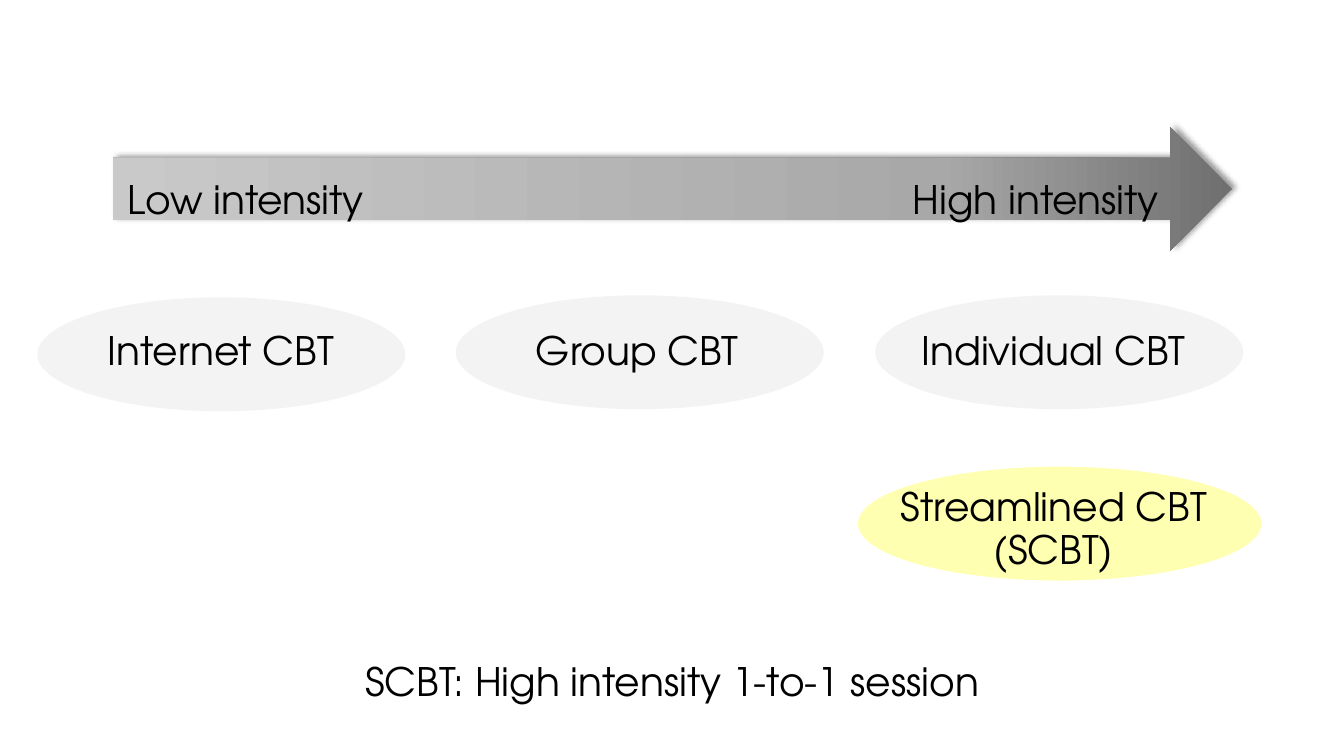
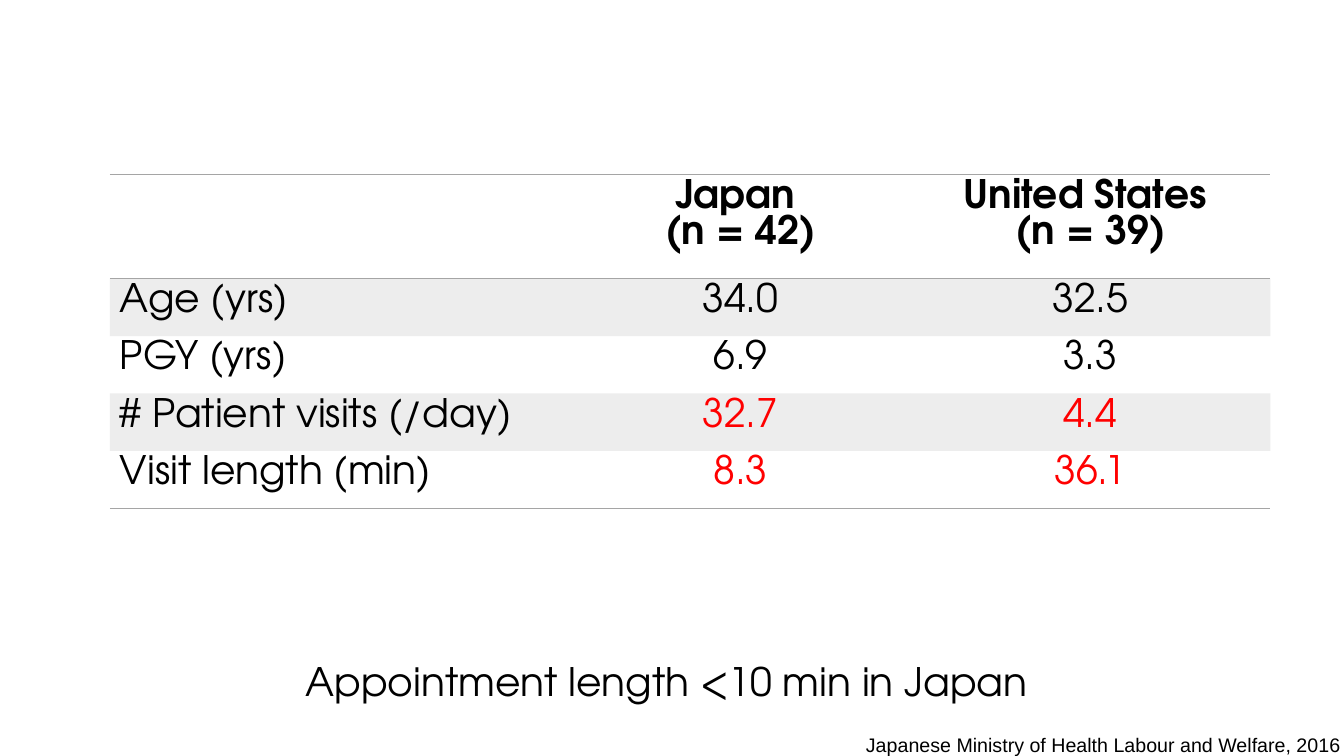
from lxml import etree
from pptx import Presentation
from pptx.dml.color import RGBColor
from pptx.enum.shapes import MSO_SHAPE
from pptx.enum.text import PP_ALIGN
from pptx.oxml.ns import qn
from pptx.util import Inches, Pt

LEFT, CENTER = PP_ALIGN.LEFT, PP_ALIGN.CENTER
OVAL, RIGHT_ARROW = MSO_SHAPE.OVAL, MSO_SHAPE.RIGHT_ARROW


class Theme:
    font, note_font = "TeX Gyre Adventor", "Arial"
    size, note_size = 28, 14
    black, red, rule = "000000", "FF0000", "A5A5A5"
    option, highlight = "D9D9D9", "FFFF00"
    oval_opacity, band_opacity = 30, 20
    label_spacing, single_spacing = 0.9, 1.0
    arrow_stops = [(0, "6F6F6F"), (26, "A8A8A8"), (100, "C9C9C9")]


# Content: boxes are (left, top, width, height) in inches
CAPTION_BOX = (2.82, 6.52, 7.69, 0.7)
ARROW_BOX = (1.12, 1.26, 11.1, 1.23)
INTENSITIES = [
    ("Low intensity", (0.32, 1.74, 4.23, 0.47)),
    ("High intensity", (8.16, 1.74, 4.23, 0.47)),
]
THERAPIES = [
    ("Internet CBT", Theme.option,
     (0.37, 2.95, 3.65, 1.13), (0.42, 3.24, 3.54, 0.7)),
    ("Group CBT", Theme.option,
     (4.52, 2.93, 3.65, 1.13), (4.55, 3.24, 3.54, 0.56)),
    ("Individual CBT", Theme.option,
     (8.68, 2.93, 3.65, 1.13), (8.68, 3.24, 3.54, 0.82)),
    ("Streamlined CBT\n(SCBT)", Theme.highlight,
     (8.51, 4.63, 4, 1.13), (8.68, 4.79, 3.54, 0.96)),
]
INTENSITY_CAPTION = "SCBT: High intensity 1-to-1 session"

VISITS = [
    ("", "Japan \n(n = 42)", "United States \n(n = 39)"),
    ("Age (yrs)", "34.0", "32.5"),
    ("PGY (yrs)", "6.9", "3.3"),
    ("# Patient visits (/day)", "32.7", "4.4"),
    ("Visit length (min)", "8.3", "36.1"),
]
KEY_ROWS = (3, 4)
VISITS_ORIGIN = (1.09, 1.73)
COLUMN_WIDTHS = (4.57, 3.37, 3.57)
HEADER_HEIGHT, ROW_HEIGHT = 1.03, 0.57
NO_GRID_STYLE = "{2D5ABB26-0587-4C30-8999-92F81FD0307C}"
VISITS_CAPTION = "Appointment length <10 min in Japan "
SOURCE = "Japanese Ministry of Health Labour and Welfare, 2016"
SOURCE_BOX = (8.49, 7.22, 4.84, 0.28)


# Helpers
def inches(box):
    return [Inches(value) for value in box]


def add_color(parent, color, opacity=None):
    node = etree.SubElement(parent, qn("a:srgbClr"), val=color)
    if opacity is not None:
        etree.SubElement(node, qn("a:alpha"), val=str(opacity * 1000))


def fill_clear(fill, holder, color, opacity):
    """Solid fill with an opacity in percent."""
    fill.solid()
    fill.fore_color.rgb = RGBColor.from_string(color)
    node = holder.find(qn("a:solidFill")).find(qn("a:srgbClr"))
    etree.SubElement(node, qn("a:alpha"), val=str(opacity * 1000))


def write(paragraph, text, align=CENTER, color=Theme.black, size=Theme.size,
          font=Theme.font, spacing=Theme.label_spacing, bold=False):
    paragraph.text = text
    paragraph.alignment = align
    paragraph.line_spacing = spacing
    paragraph.font.name = font
    paragraph.font.size = Pt(size)
    paragraph.font.bold = bold
    paragraph.font.color.rgb = RGBColor.from_string(color)


def add_label(slide, text, box, **style):
    frame = slide.shapes.add_textbox(*inches(box)).text_frame
    frame.word_wrap = True
    write(frame.paragraphs[0], text, **style)
    return frame


def add_plain_shape(slide, preset, box):
    shape = slide.shapes.add_shape(preset, *inches(box))
    shape.shadow.inherit = False
    shape.line.fill.background()
    return shape


def add_arrow(slide):
    arrow = add_plain_shape(slide, RIGHT_ARROW, ARROW_BOX)
    properties = arrow.fill._xPr
    gradient = etree.Element(qn("a:gradFill"), rotWithShape="1")
    stops = etree.SubElement(gradient, qn("a:gsLst"))
    for position, color in Theme.arrow_stops:
        stop = etree.SubElement(stops, qn("a:gs"), pos=str(position * 1000))
        add_color(stop, color)
    etree.SubElement(gradient, qn("a:lin"), ang=str(180 * 60000), scaled="0")
    properties.find(qn("a:ln")).addprevious(gradient)
    shadow = etree.SubElement(
        properties.find(qn("a:effectLst")), qn("a:outerShdw"),
        blurRad=str(Pt(4)), dist=str(Pt(3)), dir=str(315 * 60000),
        algn="bl", rotWithShape="0")
    add_color(shadow, Theme.black, 40)


def add_rule(cell, side):
    line = etree.SubElement(cell._tc.get_or_add_tcPr(), qn("a:" + side),
                            w=str(Pt(1)))
    add_color(etree.SubElement(line, qn("a:solidFill")), Theme.rule)


def add_visits_table(slide):
    last = len(VISITS) - 1
    size = (sum(COLUMN_WIDTHS), HEADER_HEIGHT + last * ROW_HEIGHT)
    table = slide.shapes.add_table(len(VISITS), len(COLUMN_WIDTHS),
                                   *inches(VISITS_ORIGIN + size)).table
    table.first_row = table.horz_banding = False
    table._tbl.tblPr.find(qn("a:tableStyleId")).text = NO_GRID_STYLE
    for column, width in zip(table.columns, COLUMN_WIDTHS):
        column.width = Inches(width)
    for r, values in enumerate(VISITS):
        table.rows[r].height = Inches(ROW_HEIGHT if r else HEADER_HEIGHT)
        for c, value in enumerate(values):
            cell = table.cell(r, c)
            write(cell.text_frame.paragraphs[0], value,
                  align=CENTER if c else LEFT, bold=r == 0,
                  color=Theme.red if c and r in KEY_ROWS else Theme.black,
                  spacing=Theme.single_spacing)
            if r == 0:
                add_rule(cell, "lnT")
            if r in (0, last):
                add_rule(cell, "lnB")
            if r % 2:
                fill_clear(cell.fill, cell._tc.tcPr, Theme.rule,
                           Theme.band_opacity)
            else:
                cell.fill.background()


# Slides
def build_intensity(slide):
    for name, color, oval_box, label_box in THERAPIES:
        oval = add_plain_shape(slide, OVAL, oval_box)
        fill_clear(oval.fill, oval.fill._xPr, color, Theme.oval_opacity)
        add_label(slide, name, label_box)
    add_arrow(slide)
    for text, box in INTENSITIES:
        add_label(slide, text, box)
    add_label(slide, INTENSITY_CAPTION, CAPTION_BOX)


def build_visits(slide):
    add_visits_table(slide)
    add_label(slide, VISITS_CAPTION, CAPTION_BOX)
    source = add_label(slide, SOURCE, SOURCE_BOX, align=LEFT,
                       spacing=Theme.single_spacing,
                       size=Theme.note_size, font=Theme.note_font)
    source.margin_right = 0


def main():
    deck = Presentation()
    deck.slide_width, deck.slide_height = Inches(13.33), Inches(7.5)
    for build in (build_intensity, build_visits):
        build(deck.slides.add_slide(deck.slide_layouts[6]))
    deck.save("out.pptx")


if __name__ == "__main__":
    main()
